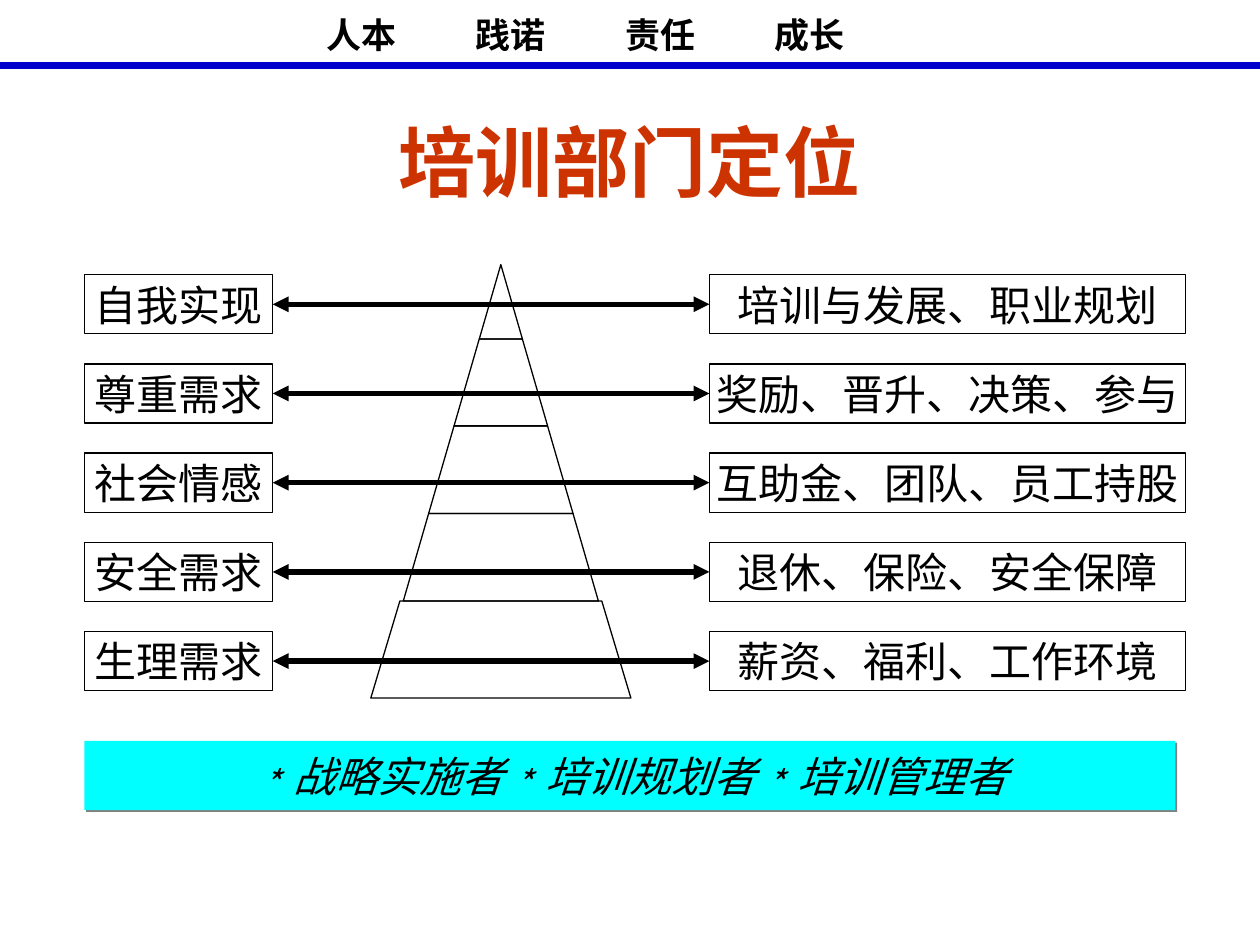
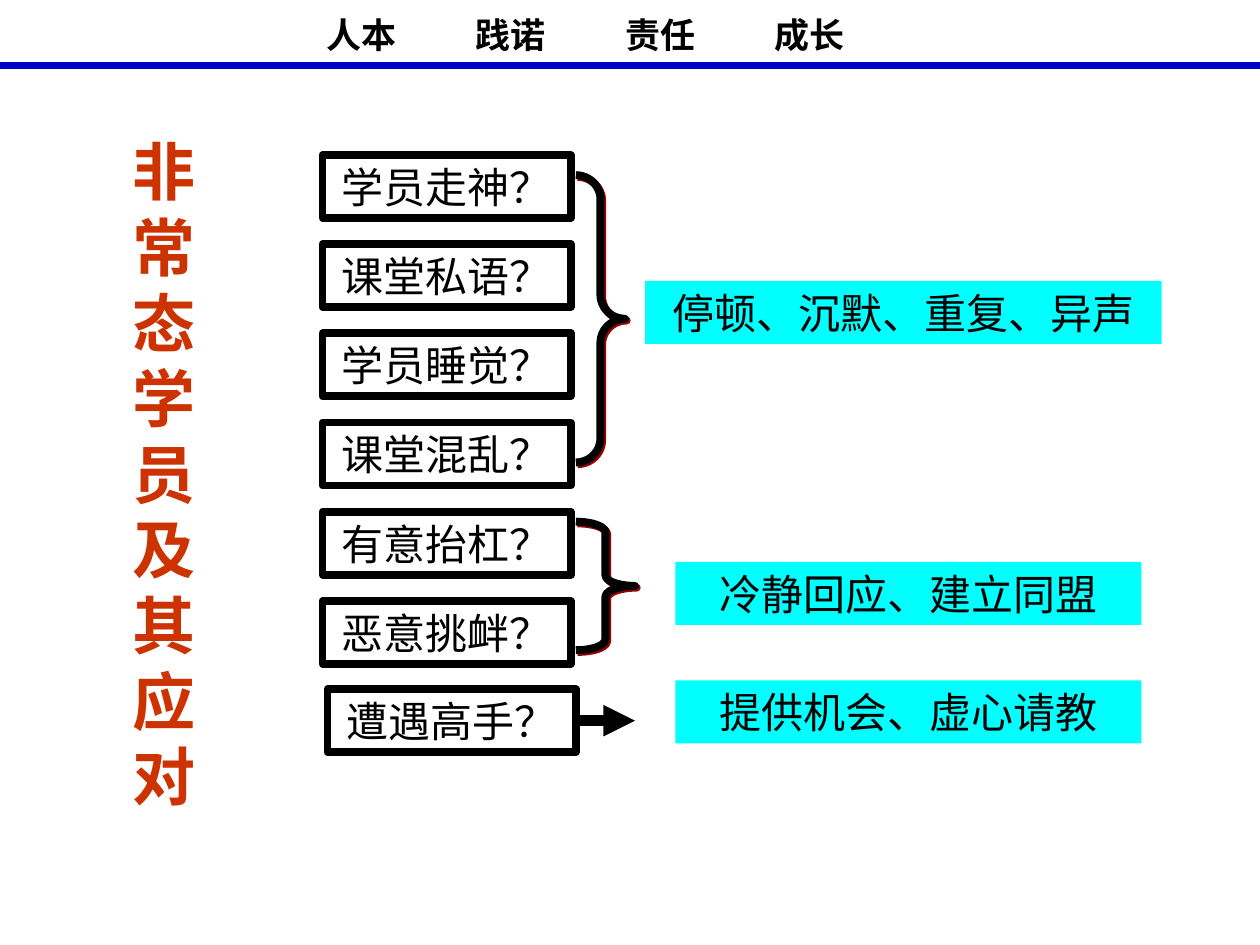
import pptx
import pptx.dml.color
import pptx.enum.shapes
import pptx.enum.text
import pptx.oxml
import pptx.oxml.ns
import pptx.util
from lxml import etree

# Shared look; lengths are counted in cells of a 100 x 75 grid
COLS, ROWS = 100, 75
CELL = pptx.util.Inches(0.1)
BLACK, BLUE, RED, CYAN = "000000", "0000CC", "CC3300", "00FFFF"
HAN = "Noto Sans CJK SC"
PITCH = 7.08
KIND = pptx.enum.shapes.MSO_SHAPE
ALIGN = pptx.enum.text.PP_ALIGN
qn = pptx.oxml.ns.qn


def grid(*cells):
    return [round(cell * CELL) for cell in cells]


def color(code):
    return pptx.dml.color.RGBColor.from_string(code)


def paint(shape, fill=None, line=None, width=0.75):
    shape.shadow.inherit = False
    if fill:
        shape.fill.solid()
        shape.fill.fore_color.rgb = color(fill)
    else:
        shape.fill.background()
    if line:
        shape.line.color.rgb = color(line)
        shape.line.width = pptx.util.Pt(width)
    else:
        shape.line.fill.background()


def shade(shape, code):
    """Give a shape a small hard shadow to the lower right."""
    effect = shape._element.spPr.find(qn("a:effectLst"))
    drop = etree.SubElement(effect, qn("a:outerShdw"), dist="17960", dir="2700000",
                            algn="ctr", rotWithShape="0")
    etree.SubElement(drop, qn("a:srgbClr"), val=code)


def write(shape, text, size, font="Arial", code=BLACK, bold=False, slant=False,
          wrap=False, align=ALIGN.CENTER, tabs=()):
    frame = shape.text_frame
    frame.word_wrap = wrap
    frame.vertical_anchor = pptx.enum.text.MSO_ANCHOR.MIDDLE
    para = frame.paragraphs[0]
    para.alignment = align
    if tabs:
        stops = etree.SubElement(para._p.get_or_add_pPr(), qn("a:tabLst"))
        for stop in grid(*tabs):
            etree.SubElement(stops, qn("a:tab"), pos=str(stop), algn="l")
    run = para.add_run()
    run.text = text
    run.font.name = font
    run.font.size = pptx.util.Pt(size)
    run.font.bold, run.font.italic = bold, slant
    run.font.color.rgb = color(code)
    etree.SubElement(run._r.get_or_add_rPr(), qn("a:ea"), typeface=HAN)
    return para


def label(slide, spot, text, fill=None, line=None, width=0.75, **style):
    box = slide.shapes.add_shape(KIND.RECTANGLE, *grid(*spot))
    paint(box, fill, line, width)
    write(box, text, 24, **style)
    return box


def rule(slide, start, end, code, width, head=False, tail=False):
    line = slide.shapes.add_connector(pptx.enum.shapes.MSO_CONNECTOR.STRAIGHT,
                                      *grid(*start, *end))
    line.line.color.rgb = color(code)
    line.line.width = pptx.util.Pt(width)
    stroke = line.line._get_or_add_ln()
    for tag, shown in (("a:headEnd", head), ("a:tailEnd", tail)):
        if shown:
            etree.SubElement(stroke, qn(tag), type="triangle")
    etree.SubElement(line._element.spPr, qn("a:effectLst"))
    return line


def title(slide, spot, text, size):
    box = slide.shapes.add_textbox(*grid(*spot))
    return write(box, text, size, code=RED, bold=True, wrap=True)


def tier(slide, mid, peak, top, base, slope):
    """Draw one level of a pyramid whose sides spread from its peak."""
    near, far = (top - peak) * slope, (base - peak) * slope
    pen = slide.shapes.build_freeform(*grid(mid - near, top))
    pen.add_line_segments([grid(mid + near, top), grid(mid + far, base),
                           grid(mid - far, base)], close=True)
    paint(pen.convert_to_shape(), line=BLACK)


def brace(slide, spot, bend):
    shape = slide.shapes.add_shape(KIND.RIGHT_BRACE, *grid(*spot))
    shape.adjustments[0] = bend
    paint(shape, line=BLACK, width=4.5)
    shade(shape, "990000")


def page(deck):
    """Add a slide with the motto and the blue rule."""
    slide = deck.slides.add_slide(deck.slide_layouts[6])
    motto = slide.shapes.add_textbox(*grid(5.1, 0.5, 89.8, 4.4))
    words = ["人本", "践诺", "责任", "成长"]
    write(motto, "".join("\t" + word for word in words), 20, font=HAN, bold=True,
          wrap=True, align=ALIGN.LEFT,
          tabs=[19.8 + 11.87 * i for i in range(len(words))])
    rule(slide, (0, 5.2), (COLS, 5.2), BLUE, 4.5)
    return slide


def roles(deck):
    slide = page(deck)
    title(slide, (5, 8.4, 90, 8.7), "培训部门定位", 44)

    # Pyramid of needs
    mid, peak = 39.75, 21
    edges = [peak, 26.9, 33.8, 40.75, 47.7]
    for top, base in zip(edges, edges[1:]):
        tier(slide, mid, peak, top, base, 0.29)
    tier(slide, mid, peak, 47.7, 55.4, 0.3)

    # Each need and what answers it
    pairs = [("自我实现", "培训与发展、职业规划"),
             ("尊重需求", "奖励、晋升、决策、参与"),
             ("社会情感", "互助金、团队、员工持股"),
             ("安全需求", "退休、保险、安全保障"),
             ("生理需求", "薪资、福利、工作环境")]
    for i, (need, means) in enumerate(pairs):
        top = 21.8 + i * PITCH
        left = label(slide, (6.7, top, 14.95, 4.7), need, line=BLACK, font="Cabin")
        right = label(slide, (56.3, top, 37.8, 4.7), means, line=BLACK, font="Cabin")
        link = rule(slide, (21.65, top), (56.3, top), BLACK, 3, head=True, tail=True)
        link.begin_connect(left, 3)
        link.end_connect(right, 1)

    # Summary band
    band = label(slide, (6.7, 58.8, 86.6, 5.5), "﹡战略实施者﹡培训规划者﹡培训管理者",
                 fill=CYAN, font=HAN, slant=True)
    shade(band, "808080")


def cases(deck):
    slide = page(deck)
    para = title(slide, (7.5, 8.8, 11.1, 57.5), "非常态学员及其应对", 36)
    para.line_spacing = pptx.util.Pt(43.2)

    # Cases in a column, the last one set slightly apart
    asks = ["学员走神？", "课堂私语？", "学员睡觉？", "课堂混乱？", "有意抬杠？", "恶意挑衅？"]
    spots = [(25.6, 12.3 + i * PITCH) for i in range(len(asks))]
    for ask, (left, top) in zip(asks + ["遭遇高手？"], spots + [(26, 54.7)]):
        last = label(slide, (left, top, 19.7, 5), ask, line=BLACK, width=4.5)

    # Links to the answers
    brace(slide, (45.7, 13.9, 3.9, 22.8), 0.49)
    brace(slide, (45.7, 41.4, 4.7, 10.2), 0.18)
    arrow = rule(slide, (45.7, 57.2), (50.4, 57.2), BLACK, 6, tail=True)
    arrow.begin_connect(last, 3)

    # Answers
    for spot, text in [((51.2, 22.3, 41, 5), "停顿、沉默、重复、异声"),
                       ((53.6, 44.6, 37, 5), "冷静回应、建立同盟"),
                       ((53.6, 54, 37, 5), "提供机会、虚心请教")]:
        label(slide, spot, text, fill=CYAN)


def main():
    deck = pptx.Presentation()
    deck.slide_width, deck.slide_height = grid(COLS, ROWS)
    roles(deck)
    cases(deck)
    deck.save("out.pptx")


if __name__ == "__main__":
    main()
